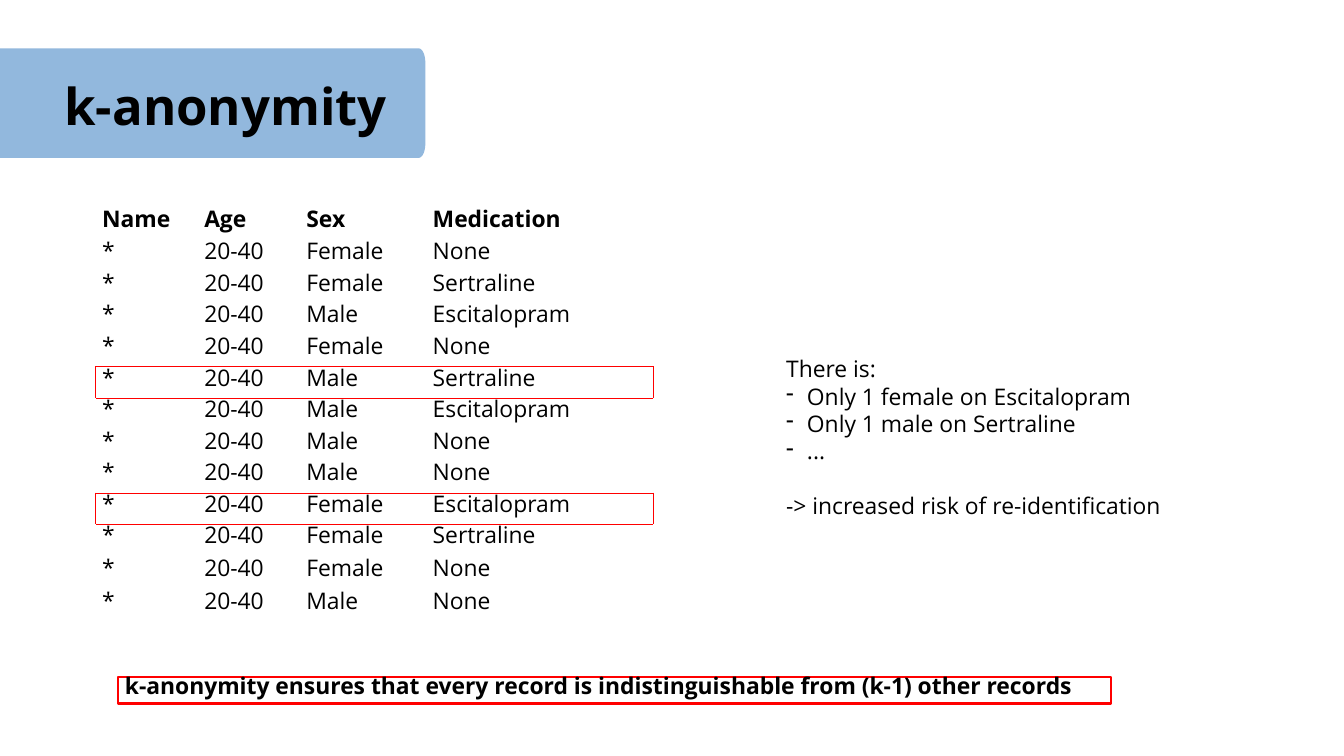
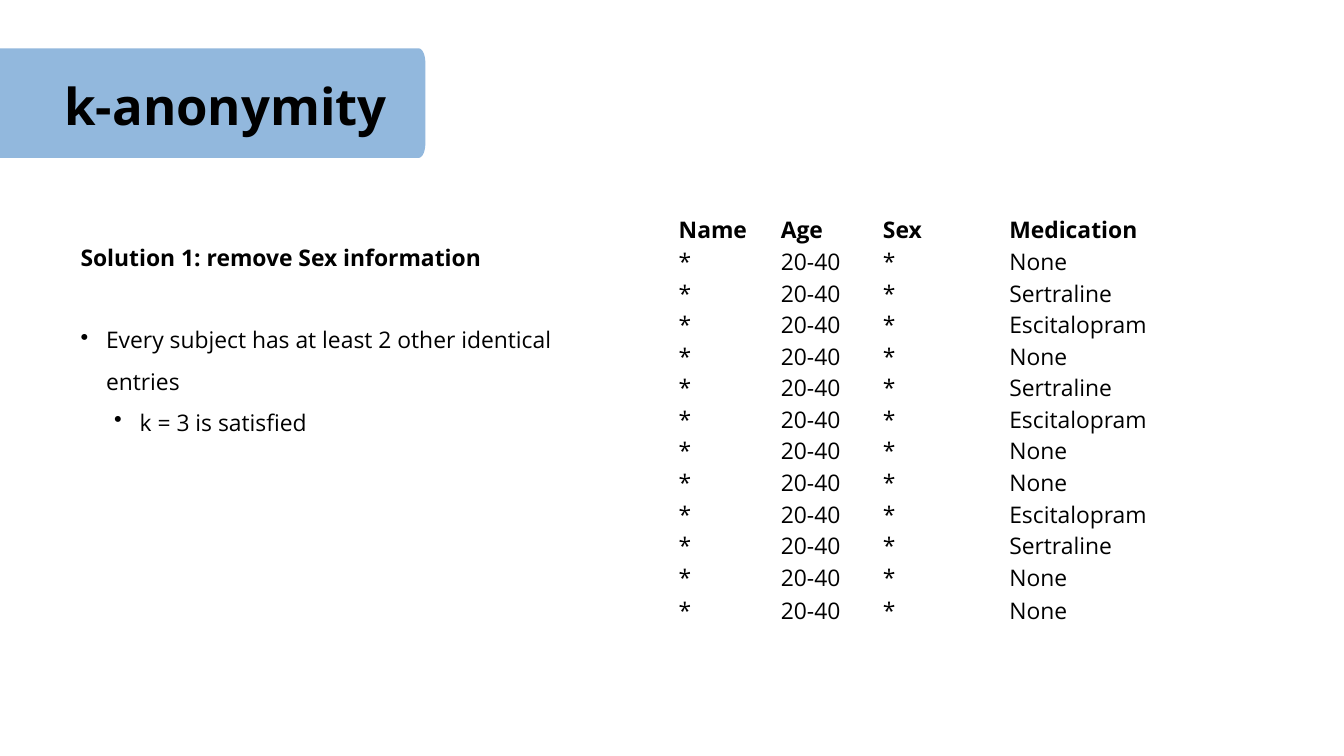
from math import cos, pi, sin

from pptx import Presentation
from pptx.dml.color import RGBColor
from pptx.enum.shapes import MSO_SHAPE
from pptx.enum.text import MSO_ANCHOR, MSO_AUTO_SIZE, PP_ALIGN
from pptx.oxml import parse_xml
from pptx.oxml.ns import nsdecls
from pptx.util import Inches, Pt

# Shared style
FONT = "Open Sans"
BLACK, WHITE, RED, BAND_BLUE = "000000", "FFFFFF", "FF0000", "92B8DD"
BODY_SIZE, TITLE_SIZE = 24.5, 54.5
LINE_HEIGHT = 29.4  # one body line, in points

# Content
TITLE = "k-anonymity"
COLUMNS = ("Name", "Age", "Sex", "Medication")
PATIENTS = [
    ("Female", "None"),
    ("Female", "Sertraline"),
    ("Male", "Escitalopram"),
    ("Female", "None"),
    ("Male", "Sertraline"),
    ("Male", "Escitalopram"),
    ("Male", "None"),
    ("Male", "None"),
    ("Female", "Escitalopram"),
    ("Female", "Sertraline"),
    ("Female", "None"),
    ("Male", "None"),
]
RISKY_ROWS = (5, 9)
DEFINITION = ("k-anonymity ensures that every record is indistinguishable "
              "from (k-1) other records")
RISK_NOTES = [
    dict(text="There is:"),
    dict(text="Only 1 female on Escitalopram", bullet="-", indent=0.31),
    dict(text="Only 1 male on Sertraline", bullet="-", indent=0.31),
    dict(text="...", bullet="-", indent=0.31),
    dict(text="-> increased risk of re-identification", before=LINE_HEIGHT),
]
SOLUTION_NOTES = [
    dict(text="Solution 1: remove Sex information", bold=True),
    dict(text="Every subject has at least 2 other identical entries", bullet="•",
         indent=0.38, spacing=1.5, before=1.5 * LINE_HEIGHT),
    dict(text="k = 3 is satisfied", bullet="•", indent=0.38, margin=0.88,
         level=1, spacing=1.5),
]

# Table grid
COLUMN_WIDTHS = (1.52, 1.52, 1.88, 3.39)
ROW_HEIGHTS = [0.49] + [0.47] * 10 + [0.49] * 2
TIGHT_ROWS = range(1, 10)


def color(hex_string):
    return RGBColor.from_string(hex_string)


def style_runs(para, size=BODY_SIZE, bold=False):
    for span in para.runs:
        span.font.name = FONT
        span.font.size = Pt(size)
        span.font.bold = bold
        span.font.color.rgb = color(BLACK)


def add_bullet(para, symbol, indent, margin):
    properties = para._p.get_or_add_pPr()
    properties.set("marL", str(Inches(margin)))
    properties.set("indent", str(-Inches(indent)))
    properties.append(parse_xml(f'<a:buChar {nsdecls("a")} char="{symbol}"/>'))


def add_text(page, place, notes, size=BODY_SIZE, inset=None):
    box = page.shapes.add_textbox(*map(Inches, place))
    frame = box.text_frame
    frame.word_wrap = True
    frame.auto_size = MSO_AUTO_SIZE.SHAPE_TO_FIT_TEXT
    if inset is not None:
        frame.margin_left = frame.margin_right = Inches(inset)
        frame.margin_top = frame.margin_bottom = Inches(inset)
    for index, note in enumerate(notes):
        para = frame.add_paragraph() if index else frame.paragraphs[0]
        para.text = note["text"]
        para.level = note.get("level", 0)
        if "bullet" in note:
            indent = note["indent"]
            add_bullet(para, note["bullet"], indent, note.get("margin", indent))
        if "spacing" in note:
            para.line_spacing = note["spacing"]
        if "before" in note:
            para.space_before = Pt(note["before"])
        style_runs(para, size, note.get("bold", False))


def add_header(page):
    # Band bleeding off the left edge, with oval corners
    left, top, right, bottom = -2, 0.72, 6.33, 2.35
    radius_x, radius_y, steps = 0.1, 0.21, 8
    corners = [(right - radius_x, top + radius_y, -pi / 2),
               (right - radius_x, bottom - radius_y, 0),
               (left + radius_x, bottom - radius_y, pi / 2),
               (left + radius_x, top + radius_y, pi)]
    points = []
    for center_x, center_y, start in corners:
        for step in range(steps + 1):
            angle = start + step * pi / 2 / steps
            points.append((Inches(center_x + radius_x * cos(angle)),
                           Inches(center_y + radius_y * sin(angle))))
    builder = page.shapes.build_freeform(*points[0])
    builder.add_line_segments(points[1:], close=True)
    band = builder.convert_to_shape()
    band.shadow.inherit = False
    band.fill.solid()
    band.fill.fore_color.rgb = color(BAND_BLUE)
    band.line.fill.background()
    add_text(page, (0.96, 1.11, 13.36, 0.93), [dict(text=TITLE, bold=True)],
             TITLE_SIZE, inset=0)


def set_borders(cell, row, column, marked):
    inside = row in marked
    reds = {
        "L": inside and column == 0,
        "R": inside and column == len(COLUMNS) - 1,
        "T": inside or row - 1 in marked,
        "B": inside or row + 1 in marked,
    }
    properties = cell._tc.get_or_add_tcPr()
    for side, is_red in reds.items():
        properties.append(parse_xml(
            f'<a:ln{side} {nsdecls("a")} w="{Pt(1)}"><a:solidFill>'
            f'<a:srgbClr val="{RED if is_red else WHITE}"/>'
            f'</a:solidFill></a:ln{side}>'))


def add_records(page, left, top, records, marked=()):
    rows = [COLUMNS] + records
    table = page.shapes.add_table(
        len(rows), len(COLUMNS), Inches(left), Inches(top),
        Inches(sum(COLUMN_WIDTHS)), Inches(sum(ROW_HEIGHTS))).table
    table.horz_banding = table.first_row = False
    for column, width in zip(table.columns, COLUMN_WIDTHS):
        column.width = Inches(width)
    for row, height in zip(table.rows, ROW_HEIGHTS):
        row.height = Inches(height)
    for row_index, values in enumerate(rows):
        for column_index, value in enumerate(values):
            cell = table.cell(row_index, column_index)
            set_borders(cell, row_index, column_index, marked)
            cell.fill.background()
            cell.vertical_anchor = MSO_ANCHOR.MIDDLE
            if row_index in TIGHT_ROWS:
                cell.margin_top = cell.margin_bottom = Inches(0.04)
            para = cell.text_frame.paragraphs[0]
            para.text = value
            para.line_spacing = Pt(21.8)
            style_runs(para, bold=row_index == 0)


def add_definition(page):
    box = page.shapes.add_shape(
        MSO_SHAPE.RECTANGLE, *map(Inches, (1.76, 10.07, 14.78, 0.4)))
    box.shadow.inherit = False
    box.fill.background()
    box.line.color.rgb = color(RED)
    box.line.width = Pt(2.25)
    frame = box.text_frame
    frame.word_wrap = True
    frame.auto_size = MSO_AUTO_SIZE.SHAPE_TO_FIT_TEXT
    frame.vertical_anchor = MSO_ANCHOR.TOP
    para = frame.paragraphs[0]
    para.text = DEFINITION
    para.alignment = PP_ALIGN.LEFT
    para.line_spacing = Pt(20.2)
    style_runs(para, bold=True)


def main():
    deck = Presentation()
    deck.slide_width, deck.slide_height = Inches(20), Inches(11.25)
    blank = deck.slide_layouts[6]

    # Records that can still be singled out
    page = deck.slides.add_slide(blank)
    records = [("*", "20-40", sex, drug) for sex, drug in PATIENTS]
    add_records(page, 1.42, 3.09, records, RISKY_ROWS)
    add_text(page, (11.6, 5.23, 6.88, 3.05), RISK_NOTES)
    add_definition(page)
    add_header(page)

    # Records with the sex masked
    page = deck.slides.add_slide(blank)
    masked = [("*", "20-40", "*", drug) for _, drug in PATIENTS]
    add_records(page, 10, 3.25, masked)
    add_text(page, (1.1, 3.58, 7.63, 3.4), SOLUTION_NOTES)
    add_header(page)

    deck.save("out.pptx")


if __name__ == "__main__":
    main()
